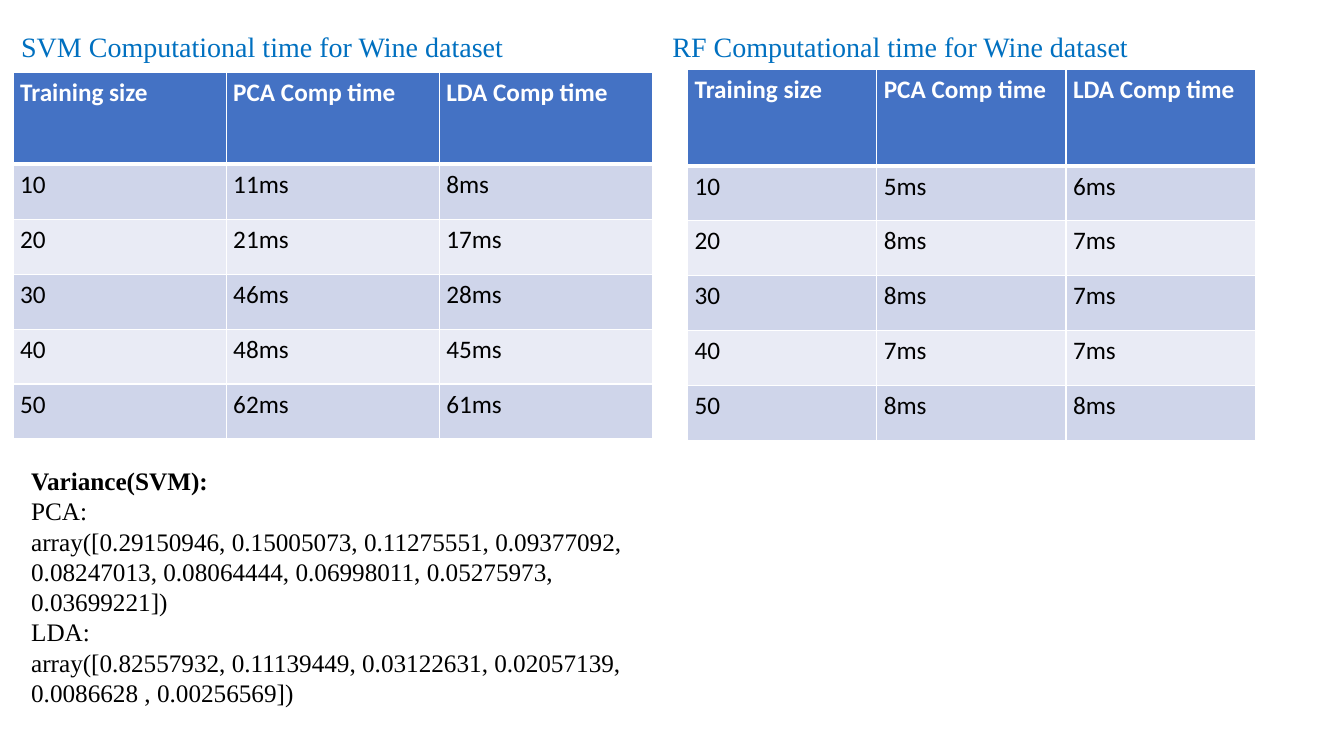
from lxml.etree import SubElement
from pptx import Presentation
from pptx.dml.color import RGBColor as RGB
from pptx.oxml.ns import qn
from pptx.util import Inches, Pt

WIDE, HIGH = Inches(13.33), Inches(7.5)
SERIF, SANS = "Times New Roman", "Calibri"
WHITE = RGB(255, 255, 255)
BLACK = RGB(0, 0, 0)
TITLE = RGB(0x00, 0x70, 0xC0)
HEAD = RGB(0x44, 0x72, 0xC4)
BANDS = RGB(0xCF, 0xD5, 0xEA), RGB(0xE9, 0xEB, 0xF5)

LABELS = "Training size", "PCA Comp time", "LDA Comp time"
SIZES = 10, 20, 30, 40, 50
SVM = (11, 8), (21, 17), (46, 28), (48, 45), (62, 61)
RF = (5, 6), (8, 7), (8, 7), (7, 7), (8, 8)
NOTES = (
    "Variance(SVM):",
    "PCA:",
    "array([0.29150946, 0.15005073, 0.11275551, 0.09377092, "
    "0.08247013, 0.08064444, 0.06998011, 0.05275973, 0.03699221])",
    "LDA:",
    "array([0.82557932, 0.11139449, 0.03122631, 0.02057139, "
    "0.0086628 , 0.00256569])",
)


def place(box):
    """Turn percentages of the slide into lengths."""
    return [int(share * side / 100) for share, side in zip(box, (WIDE, HIGH) * 2)]


def style(para, name, size, color, bold=False):
    font = para.font
    font.name, font.size, font.bold = name, Pt(size), bold
    font.color.rgb = color


def add_text(slide, box, lines, size, color, lead=False):
    """Write one paragraph per line; lead makes the first one bold."""
    frame = slide.shapes.add_textbox(*place(box)).text_frame
    frame.word_wrap = True
    frame.text = "\n".join(lines)
    for i, para in enumerate(frame.paragraphs):
        style(para, SERIF, size, color, lead and i == 0)


def add_edges(cell, row):
    """Draw white cell borders, thick between header and body."""
    props = cell._tc.get_or_add_tcPr()
    for side in ("L", "R", "T", "B"):
        thick = (row, side) in ((0, "B"), (1, "T"))
        line = SubElement(props, qn(f"a:ln{side}"), w=str(Pt(3 if thick else 1)))
        SubElement(SubElement(line, qn("a:solidFill")), qn("a:srgbClr"), val=str(WHITE))


def add_times(slide, box, times, share):
    """Build a table of times whose header takes a share of the height."""
    rows = [LABELS]
    rows += [(str(size), f"{pca}ms", f"{lda}ms")
             for size, (pca, lda) in zip(SIZES, times)]
    left, top, width, height = place(box)
    table = slide.shapes.add_table(
        len(rows), len(LABELS), left, top, width, height).table
    for col in table.columns:
        col.width = width // len(LABELS)
    for r, words in enumerate(rows):
        part = (1 - share) / len(times) if r else share
        table.rows[r].height = int(height * part)
        for c, word in enumerate(words):
            cell = table.cell(r, c)
            cell.text = word
            cell.margin_left = cell.margin_right = Inches(0.07)
            add_edges(cell, r)
            cell.fill.solid()
            cell.fill.fore_color.rgb = BANDS[(r - 1) % 2] if r else HEAD
            style(cell.text_frame.paragraphs[0], SANS, 18,
                  BLACK if r else WHITE, r == 0)


def main():
    deck = Presentation()
    deck.slide_width, deck.slide_height = WIDE, HIGH
    slide = deck.slides.add_slide(deck.slide_layouts[6])
    panels = (
        ("SVM", (0.83, 3.2, 74.2, 5.87), (0.98, 9.6, 47.56, 48.5), SVM, 0.25),
        ("RF", (49.29, 3.2, 50.04, 5.87), (51.16, 9.2, 42.24, 49.07), RF, 0.26),
    )
    for name, head, body, times, share in panels:
        title = f"{name} Computational time for Wine dataset"
        add_text(slide, head, [title], 20, TITLE)
        add_times(slide, body, times, share)
    add_text(slide, (1.58, 60.93, 50.04, 37.73), NOTES, 18, BLACK, lead=True)
    deck.save("out.pptx")


if __name__ == "__main__":
    main()
